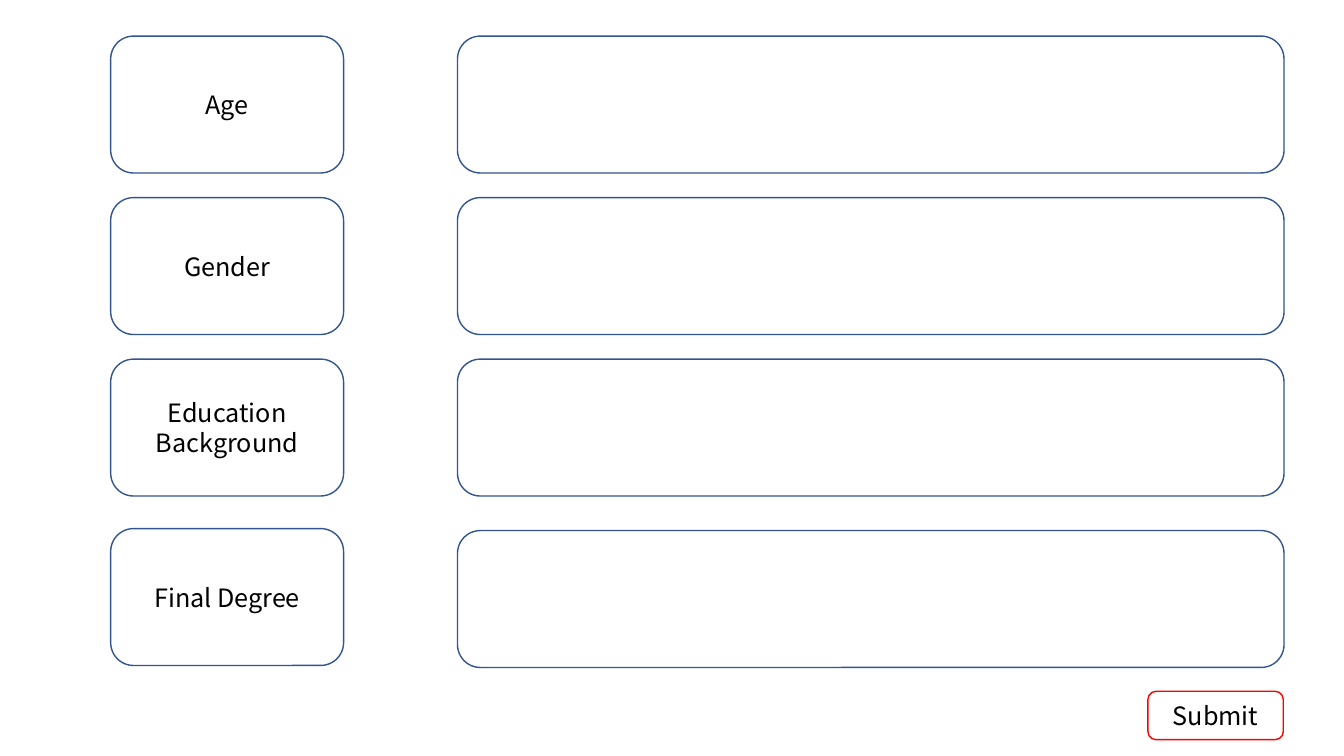
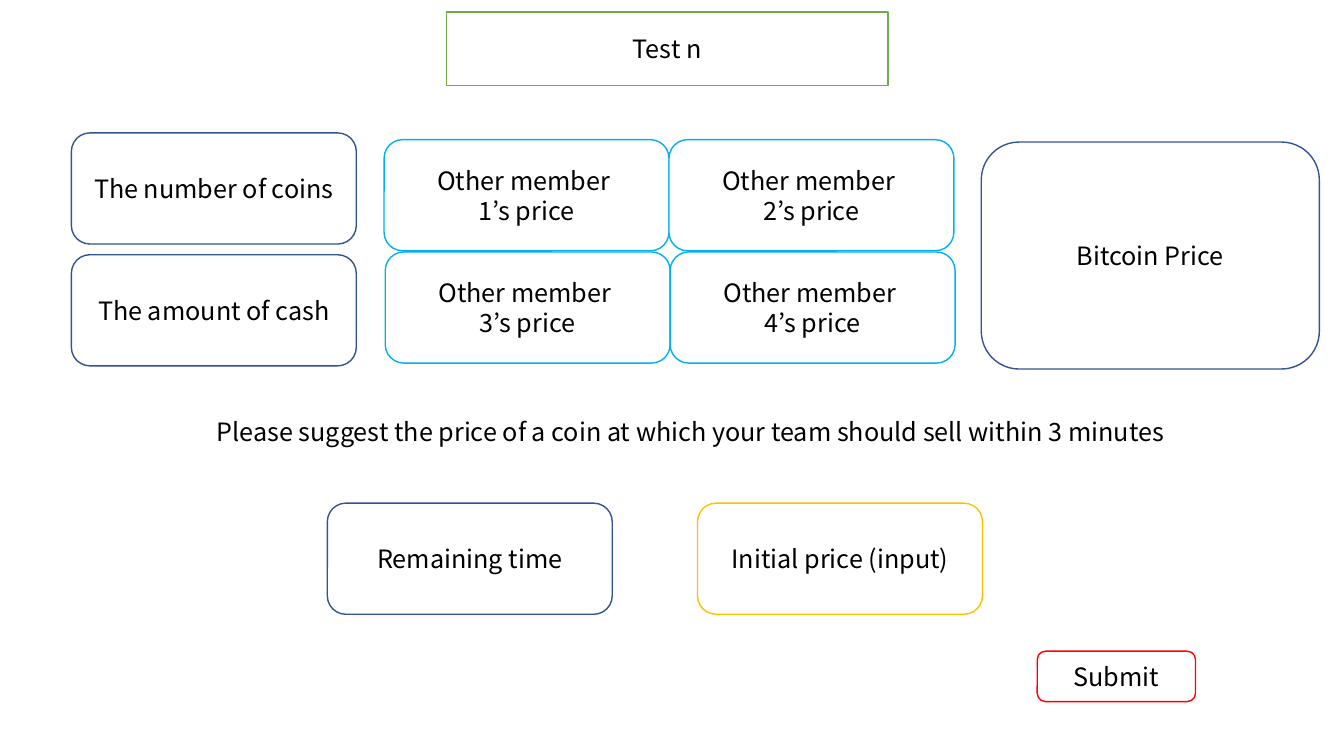
from pptx import Presentation
from pptx.dml.color import RGBColor
from pptx.enum.shapes import MSO_SHAPE as Preset
from pptx.enum.text import MSO_ANCHOR as Anchor, MSO_AUTO_SIZE as AutoSize, PP_ALIGN as Align
from pptx.util import Cm, Pt

WHITE = RGBColor(0xFF, 0xFF, 0xFF)
BLACK = RGBColor(0x00, 0x00, 0x00)
NAVY = RGBColor(0x32, 0x54, 0x91)
SKY = RGBColor(0x00, 0xB0, 0xF0)
GREEN = RGBColor(0x70, 0xAD, 0x47)
AMBER = RGBColor(0xFF, 0xC0, 0x00)
RED = RGBColor(0xFF, 0x00, 0x00)

TITLE_ONLY, BLANK = 5, 6


class FormDeck:
    font = "Noto Sans CJK KR"
    size = Pt(18)
    border = Pt(1)

    def __init__(self):
        self.deck = Presentation()
        self.deck.slide_width = Cm(33.87)
        self.deck.slide_height = Cm(19.05)
        self.page = None

    def add_page(self, layout):
        self.page = self.deck.slides.add_slide(self.deck.slide_layouts[layout])

    def add_lines(self, box, lines, align=Align.CENTER):
        frame = box.text_frame
        frame.vertical_anchor = Anchor.MIDDLE
        for index, line in enumerate(lines):
            para = frame.add_paragraph() if index else frame.paragraphs[0]
            para.alignment = align
            para.line_spacing = 1.0
            span = para.add_run()
            span.text = line
            span.font.name = self.font
            span.font.size = self.size
            span.font.color.rgb = BLACK

    def outline(self, box, color):
        box.fill.solid()
        box.fill.fore_color.rgb = WHITE
        box.line.color.rgb = color
        box.line.width = self.border

    def title(self, text, left, top, width, height, color):
        box = self.page.shapes.title
        box.left, box.top, box.width, box.height = map(Cm, (left, top, width, height))
        self.outline(box, color)
        box.text_frame.auto_size = AutoSize.NONE
        self.add_lines(box, [text])

    def card(self, left, top, width, height, color=NAVY, lines=()):
        box = self.page.shapes.add_shape(
            Preset.ROUNDED_RECTANGLE, *map(Cm, (left, top, width, height)))
        box.shadow.inherit = False
        self.outline(box, color)
        self.add_lines(box, lines)

    def prompt(self, text, left, top, width, height):
        box = self.page.shapes.add_textbox(*map(Cm, (left, top, width, height)))
        box.text_frame.word_wrap = False
        self.add_lines(box, [text], Align.LEFT)

    def submit(self, left, top, width, height):
        self.card(left, top, width, height, RED, ["Submit"])

    def save(self):
        self.deck.save("out.pptx")


def build_profile(form):
    form.add_page(BLANK)
    first_top, pitch, height = 0.91, 4.07, 3.45
    fields = ["Age", "Gender", "Education Background", "Final Degree"]
    last = len(fields) - 1
    for row, field in enumerate(fields):
        top = first_top + row * pitch
        label_shift, answer_shift = (0.2, 0.25) if row == last else (0, 0)
        form.card(2.79, top + label_shift, 5.87, height, lines=[field])
        form.card(11.53, top + answer_shift, 20.83, height)
    form.submit(28.93, 17.42, 3.41, 1.22)


def build_test(form):
    form.add_page(TITLE_ONLY)
    width, height = 7.18, 2.8
    form.title("Test n", 11.25, 0.3, 11.13, 1.85, GREEN)

    for row, holding in enumerate(["The number of coins", "The amount of cash"]):
        form.card(1.8, 3.35 + row * 3.07, width, height, lines=[holding])

    for member in range(4):
        row, column = divmod(member, 2)
        form.card(9.68 + column * width + row * 0.03, 3.52 + row * 2.83,
                  width, height, SKY, ["Other member ", f"{member + 1}’s price"])

    form.card(24.73, 3.58, 8.52, 5.72, lines=["Bitcoin Price"])
    form.prompt("Please suggest the price of a coin at which your team should sell "
                "within 3 minutes", 5.21, 10.36, 24.71, 1.02)
    form.card(8.25, 12.68, width, height, lines=["Remaining time"])
    form.card(17.58, 12.68, width, height, AMBER, ["Initial price (input)"])
    form.submit(26.14, 16.41, 3.99, 1.27)


def main():
    form = FormDeck()
    build_profile(form)
    build_test(form)
    form.save()


if __name__ == "__main__":
    main()
